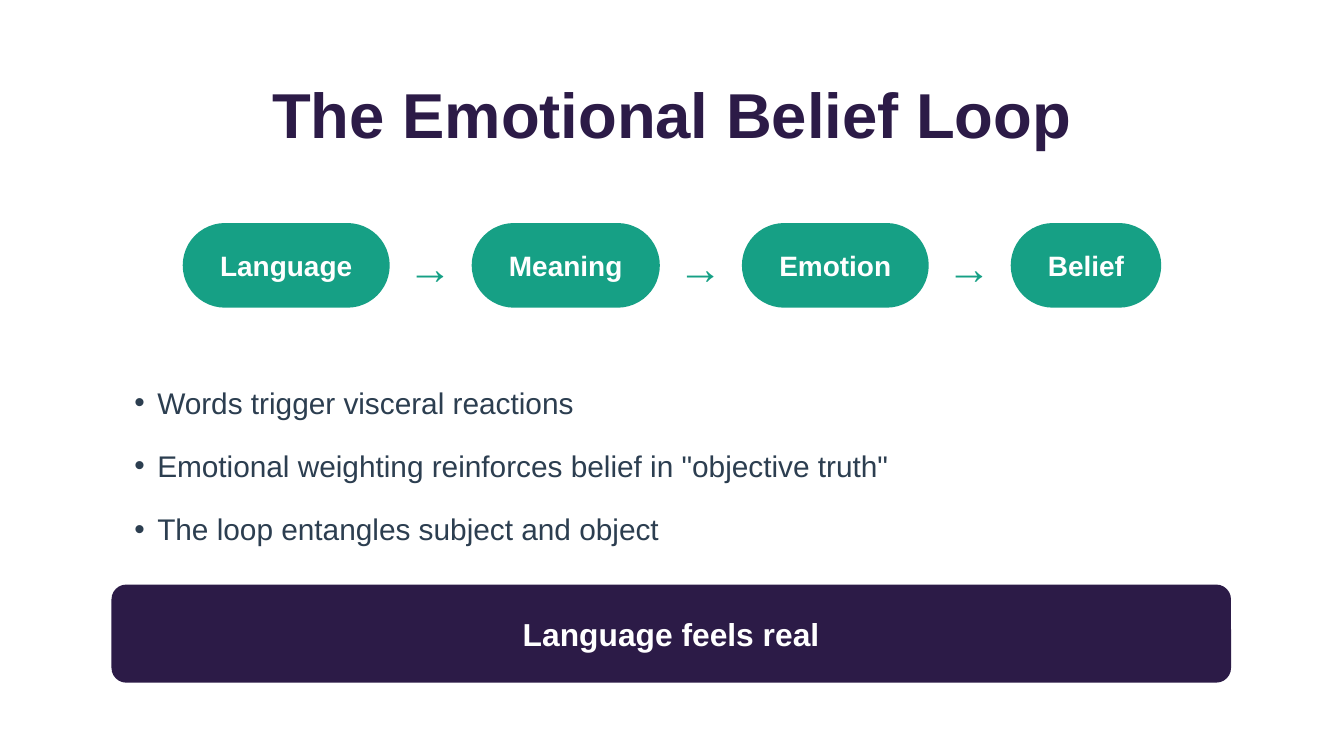
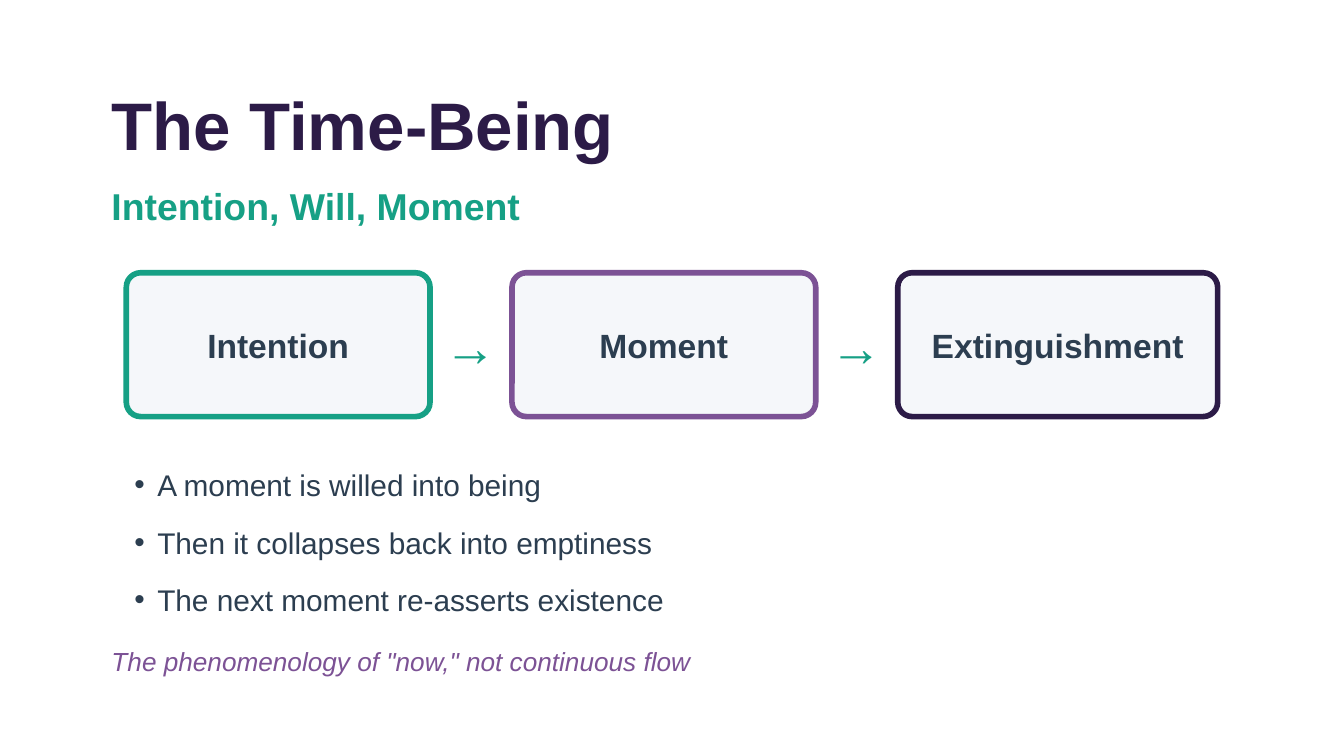
from pptx import Presentation
from pptx.dml.color import RGBColor
from pptx.enum.shapes import MSO_SHAPE
from pptx.enum.text import MSO_ANCHOR, MSO_AUTO_SIZE, PP_ALIGN
from pptx.util import Inches, Pt
from lxml.etree import SubElement
from pptx.oxml.ns import qn

FONT = "Arial"
COLORS = {
    "plum": "2C1B47",
    "teal": "16A085",
    "violet": "7C5295",
    "slate": "2C3E50",
    "mist": "F5F7FA",
    "white": "FFFFFF",
}
MARGIN = 0.83
TEXT_WIDTH = 8.5
PANEL_WIDTH = 8.33
FLOW_GAP = 0.61
BULLET_INDENT = 0.17


def rgb(name):
    return RGBColor.from_string(COLORS[name])


def place(shape, left, top, width, height):
    shape.left, shape.top = Inches(left), Inches(top)
    shape.width, shape.height = Inches(width), Inches(height)


def prepare_frame(shape, anchor=MSO_ANCHOR.TOP, left_inset=0):
    frame = shape.text_frame
    frame.auto_size = MSO_AUTO_SIZE.NONE
    frame.word_wrap = True
    frame.vertical_anchor = anchor
    frame.margin_left = Inches(left_inset)
    frame.margin_top = frame.margin_right = frame.margin_bottom = 0
    return frame


def add_run(paragraph, text, size, color, bold=False, italic=False):
    run = paragraph.add_run()
    run.text = text
    run.font.name = FONT
    run.font.size = Pt(size)
    run.font.color.rgb = rgb(color)
    run.font.bold = bold
    run.font.italic = italic


def write_line(shape, text, size, color, align=PP_ALIGN.LEFT,
               anchor=MSO_ANCHOR.TOP, **style):
    paragraph = prepare_frame(shape, anchor).paragraphs[0]
    paragraph.alignment = align
    add_run(paragraph, text, size, color, **style)


def add_title(slide, text, box, size, align=PP_ALIGN.LEFT):
    title = slide.shapes.title
    place(title, *box)
    write_line(title, text, size, "plum", align, bold=True)


def add_text(slide, text, box, size, color, **style):
    text_box = slide.shapes.add_textbox(*(Inches(value) for value in box))
    write_line(text_box, text, size, color, **style)


def add_rounded_label(slide, text, box, size, fill, text_color, rounding, line=None):
    shape = slide.shapes.add_shape(
        MSO_SHAPE.ROUNDED_RECTANGLE, *(Inches(value) for value in box))
    shape.adjustments[0] = rounding
    shape.shadow.inherit = False
    shape.fill.solid()
    shape.fill.fore_color.rgb = rgb(fill)
    if line:
        shape.line.color.rgb = rgb(line)
        shape.line.width = Pt(3)
    else:
        shape.line.fill.background()
    write_line(shape, text, size, text_color, PP_ALIGN.CENTER,
               MSO_ANCHOR.MIDDLE, bold=True)


def add_flow(slide, steps, left, top, height, arrow_size, **label_style):
    """Draw (text, width, line color) steps in a row, an arrow centred in each gap."""
    arrow_width, arrow_height = arrow_size / 70, arrow_size / 62
    for index, (text, width, line) in enumerate(steps):
        if index:
            arrow_box = (left - (FLOW_GAP + arrow_width) / 2,
                         top + (height - arrow_height) / 2,
                         arrow_width, arrow_height)
            add_text(slide, "→", arrow_box, arrow_size, "teal")
        add_rounded_label(slide, text, (left, top, width, height),
                          line=line, **label_style)
        left += width + FLOW_GAP


def set_bullet(paragraph):
    properties = paragraph._p.get_or_add_pPr()
    properties.set("marL", str(Inches(BULLET_INDENT)))
    properties.set("indent", str(-Inches(BULLET_INDENT)))
    SubElement(properties, qn("a:buChar"), char="•")


def add_bullets(slide, items, top, height, space_after):
    body = slide.placeholders[1]
    place(body, MARGIN, top, PANEL_WIDTH, height)
    frame = prepare_frame(body, left_inset=BULLET_INDENT)
    for index, item in enumerate(items):
        paragraph = frame.add_paragraph() if index else frame.paragraphs[0]
        paragraph.alignment = PP_ALIGN.LEFT
        paragraph.line_spacing = Pt(20.8)
        paragraph.space_before = Pt(0)
        paragraph.space_after = Pt(space_after)
        set_bullet(paragraph)
        add_run(paragraph, item, 16, "slate")


def build_belief_loop(slide):
    add_title(slide, "The Emotional Belief Loop", (0.75, 0.56, TEXT_WIDTH, 0.54),
              34, PP_ALIGN.CENTER)
    steps = [("Language", 1.54, None), ("Meaning", 1.4, None),
             ("Emotion", 1.39, None), ("Belief", 1.12, None)]
    add_flow(slide, steps, left=1.36, top=1.66, height=0.63, arrow_size=24,
             size=15, fill="teal", text_color="white", rounding=0.5)
    add_bullets(slide, [
        "Words trigger visceral reactions",
        'Emotional weighting reinforces belief in "objective truth"',
        "The loop entangles subject and object",
    ], top=2.84, height=1.23, space_after=13)
    add_rounded_label(slide, "Language feels real", (MARGIN, 4.35, PANEL_WIDTH, 0.73),
                      17, "plum", "white", rounding=0.15)


def build_time_being(slide):
    add_title(slide, "The Time-Being", (MARGIN, 0.62, TEXT_WIDTH, 0.57), 36)
    add_text(slide, "Intention, Will, Moment", (MARGIN, 1.36, TEXT_WIDTH, 0.32),
             20, "teal", bold=True)
    steps = [("Intention", 2.26, "teal"), ("Moment", 2.26, "violet"),
             ("Extinguishment", 2.38, "plum")]
    add_flow(slide, steps, left=0.94, top=2.03, height=1.07, arrow_size=28,
             size=18, fill="mist", text_color="slate", rounding=0.1)
    add_bullets(slide, [
        "A moment is willed into being",
        "Then it collapses back into emptiness",
        "The next moment re-asserts existence",
    ], top=3.45, height=1.14, space_after=10)
    add_text(slide, 'The phenomenology of "now," not continuous flow',
             (MARGIN, 4.8, TEXT_WIDTH, 0.23), 14, "violet", italic=True)


def main():
    presentation = Presentation()
    presentation.slide_width = Inches(10)
    presentation.slide_height = Inches(10 * 9 / 16)
    layout = presentation.slide_layouts[1]
    for build in (build_belief_loop, build_time_being):
        build(presentation.slides.add_slide(layout))
    presentation.save("out.pptx")


if __name__ == "__main__":
    main()
